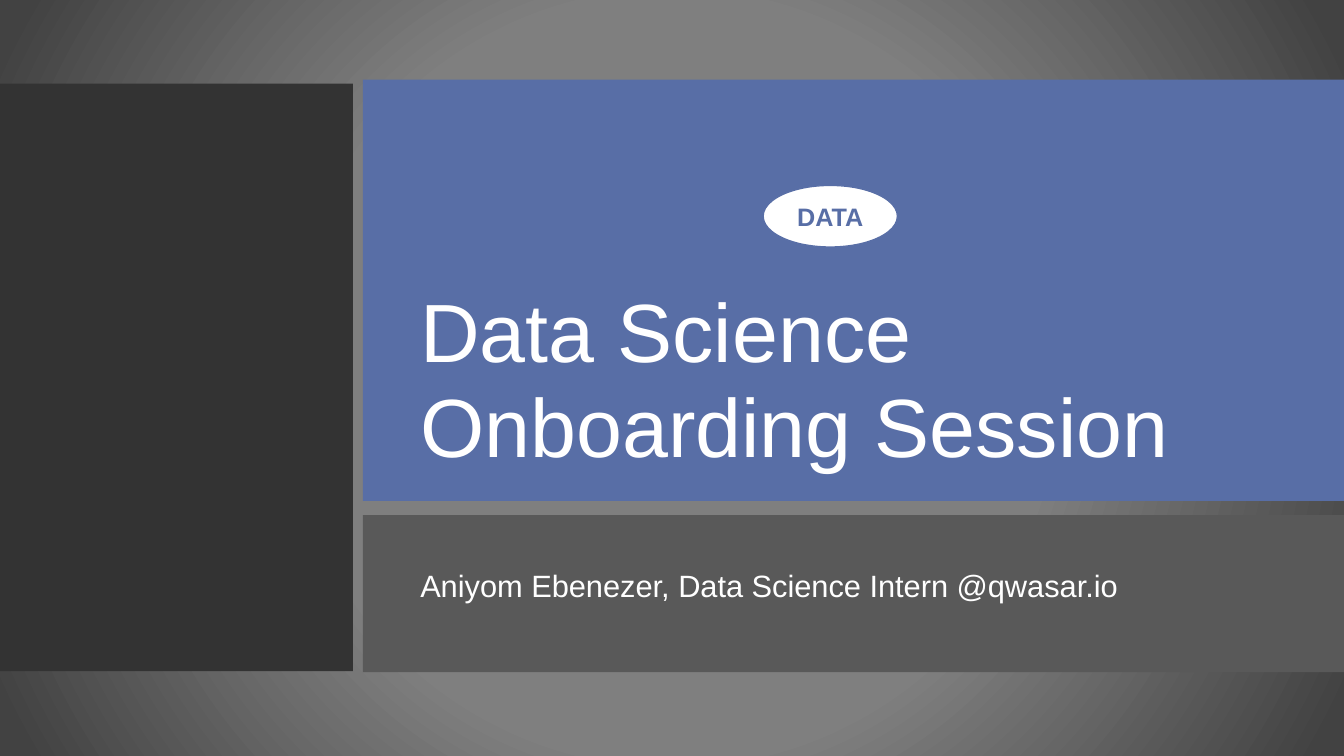
import pptx
import pptx.util
import pptx.oxml
import pptx.oxml.ns
import pptx.dml.color
import pptx.enum.shapes
import pptx.enum.text

Inches = pptx.util.Inches
Anchor = pptx.enum.text.MSO_ANCHOR
Align = pptx.enum.text.PP_ALIGN
Shape = pptx.enum.shapes.MSO_SHAPE

theme = {
    "font": "Arial",
    "dark": "333333",
    "blue": "586EA6",
    "gray": "595959",
    "white": "FFFFFF",
    "glow": [(0, "7F7F7F"), (49, "7F7F7F"), (97, "424242"), (100, "424242")],
    "title": 59,
    "sub": 22,
    "badge": 18,
}


def add_block(kind, box, tint):
    block = slide.shapes.add_shape(kind, *map(Inches, box))
    block.shadow.inherit = False
    block.fill.solid()
    block.fill.fore_color.rgb = pptx.dml.color.RGBColor.from_string(theme[tint])
    block.line.fill.background()
    return block


def set_text(shape, text, size, tint, anchor, align, space=1.0, bold=False):
    frame = shape.text_frame
    frame.word_wrap = True
    frame.vertical_anchor = anchor
    para = frame.paragraphs[0]
    para.text = text
    para.alignment = align
    para.line_spacing = space
    para.font.name = theme["font"]
    para.font.size = pptx.util.Pt(theme[size])
    para.font.bold = bold
    para.font.color.rgb = pptx.dml.color.RGBColor.from_string(theme[tint])


deck = pptx.Presentation()
deck.slide_width = Inches(13.33)
deck.slide_height = Inches(7.5)
slide = deck.slides.add_slide(deck.slide_layouts[6])

slide.background.fill.gradient()
grad = slide.element.find(".//" + pptx.oxml.ns.qn("a:gradFill"))
stops = "".join(
    f'<a:gs pos="{pos * 1000}"><a:srgbClr val="{tint}"/></a:gs>'
    for pos, tint in theme["glow"]
)
glow = pptx.oxml.parse_xml(
    f'<a:gradFill {pptx.oxml.ns.nsdecls("a")} rotWithShape="1">'
    f'<a:gsLst>{stops}</a:gsLst><a:path path="circle">'
    '<a:fillToRect l="50000" t="50000" r="50000" b="50000"/>'
    '</a:path></a:gradFill>'
)
grad.getparent().replace(grad, glow)

for box, tint in [
    ((0, 0.83, 3.5, 5.83), "dark"),
    ((3.6, 0.79, 9.73, 4.18), "blue"),
    ((3.6, 5.11, 9.73, 1.56), "gray"),
]:
    add_block(Shape.RECTANGLE, box, tint)

for box, text, size, anchor, space in [
    ((4.07, 2.82, 8.51, 1.95), "Data Science Onboarding Session",
     "title", Anchor.BOTTOM, 0.95),
    ((4.07, 5.33, 7.86, 1), "Aniyom Ebenezer, Data Science Intern @qwasar.io",
     "sub", Anchor.MIDDLE, 0.9),
]:
    label = slide.shapes.add_textbox(*map(Inches, box))
    set_text(label, text, size, "white", anchor, Align.LEFT, space)

badge = add_block(Shape.OVAL, (7.57, 1.84, 1.33, 0.61), "white")
badge.line.color.rgb = pptx.dml.color.RGBColor.from_string(theme["blue"])
badge.line.width = pptx.util.Pt(0.85)
set_text(badge, "DATA", "badge", "blue", Anchor.MIDDLE, Align.CENTER, bold=True)

deck.save("out.pptx")
